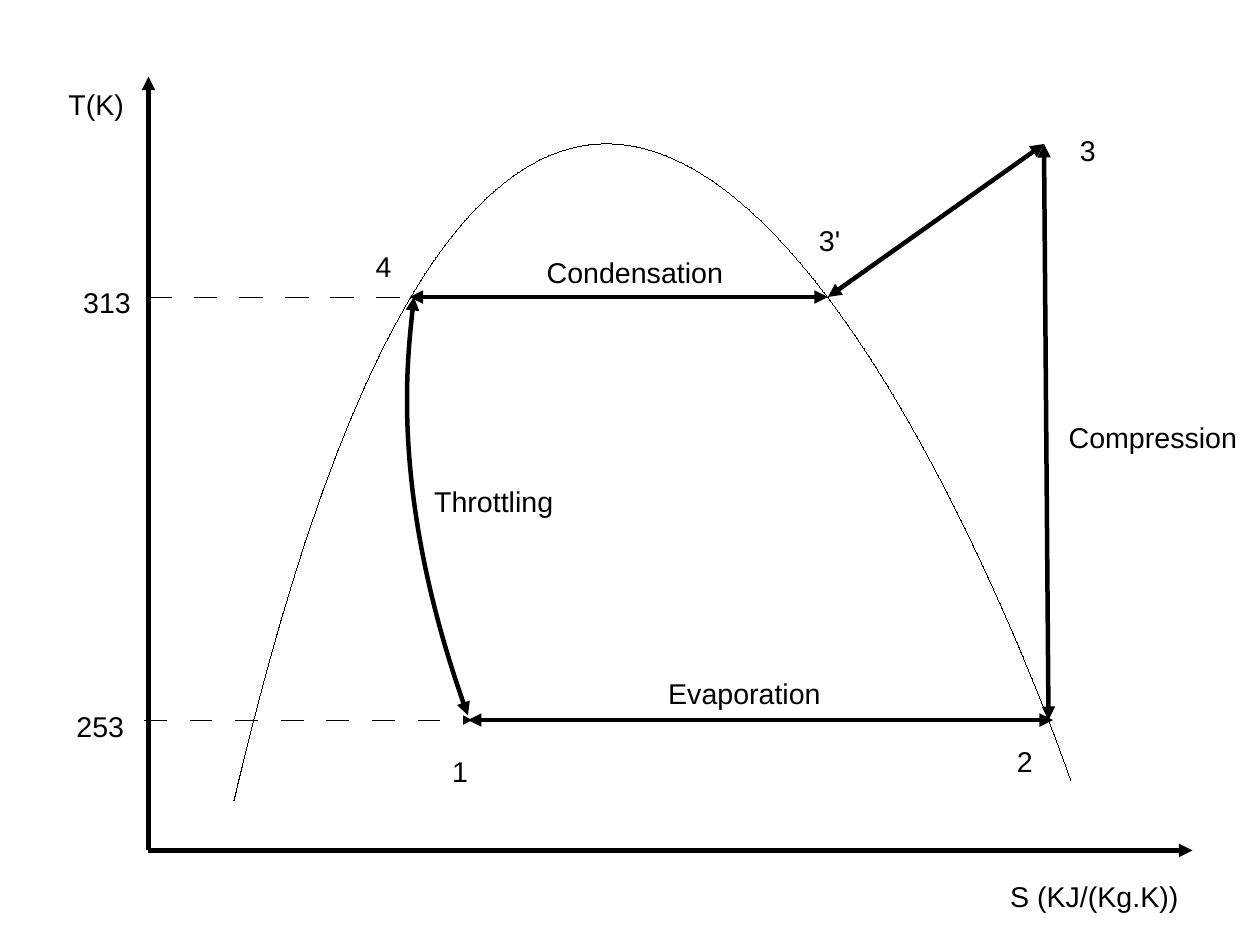
import dataclasses
import typing

import lxml.etree
import pptx
import pptx.dml.color
import pptx.enum.shapes
import pptx.enum.text
import pptx.oxml.ns
import pptx.util

Point = typing.Tuple[float, float]
BLACK = "000000"
BOLD = 2.83
THIN = 0
STEPS = 80


@dataclasses.dataclass
class Line:
    start: Point
    end: Point
    width: float = BOLD
    head: bool = True
    tail: bool = True
    dash: bool = False


@dataclasses.dataclass
class Curve:
    start: Point
    bend: Point
    end: Point
    width: float
    heads: bool


@dataclasses.dataclass
class Label:
    text: str
    left: float
    top: float
    width: float = 0.95


ZERO = (3.3, 18.9)
P1 = (10.4, 16)
P2 = (23.4, 16)
P3 = (23.2, 3.2)
SAT = (18.4, 6.6)
P4 = (9.1, 6.6)

AXES = [
    Line(ZERO, (26.5, 18.9), head=False),
    Line(ZERO, (3.3, 1.7), head=False),
]
CURVES = [
    Curve((5.2, 17.8), (12.8, -14.79), (23.8, 17.35), THIN, False),
    Curve((10.4, 15.9), (8.6, 11), (9.2, 6.6), BOLD, True),
]
CYCLE = [
    Line((3.2, 16), (10.5, 16), THIN, head=False, dash=True),
    Line(P1, P2),
    Line((3.3, 6.6), P4, THIN, head=False, tail=False, dash=True),
    Line(SAT, P4),
    Line((23.3, 16), P3),
    Line(P3, SAT),
]
LABELS = [
    Label("313", 1.6, 6.2, 1.65),
    Label("253", 1.45, 15.63, 1.65),
    Label("T(K)", 1.27, 1.8, 1.85),
    Label("S (KJ/(Kg.K))", 22.2, 19.4, 4.3),
    Label("1", 9.8, 16.63),
    Label("2", 22.35, 16.4),
    Label("3", 23.75, 2.83),
    Label("3'", 17.95, 4.83, 1.1),
    Label("4", 8.1, 5.4),
    Label("Condensation", 11.9, 5.55, 4.5),
    Label("Evaporation", 14.6, 14.9, 3.95),
    Label("Compression", 23.5, 9.2, 4.3),
    Label("Throttling", 9.4, 10.63, 3.25),
]


def color(code: str) -> pptx.dml.color.RGBColor:
    return pptx.dml.color.RGBColor.from_string(code)


def add_node(root: typing.Any, tag: str, **values: str) -> typing.Any:
    return lxml.etree.SubElement(root, pptx.oxml.ns.qn(tag), **values)


def style(shape: typing.Any, width: float, head: bool, tail: bool, dash: bool = False) -> None:
    shape.line.color.rgb = color(BLACK)
    node = shape.line._get_or_add_ln()
    node.set("w", str(pptx.util.Pt(width)))
    if dash:
        add_node(add_node(node, "a:custDash"), "a:ds", d="1880000", sp="1880000")
    for tag, shown in (("a:headEnd", head), ("a:tailEnd", tail)):
        if shown:
            add_node(node, tag, type="triangle")


def draw_line(slide: typing.Any, line: Line) -> None:
    ends = [pptx.util.Cm(value) for value in line.start + line.end]
    shape = slide.shapes.add_connector(pptx.enum.shapes.MSO_CONNECTOR.STRAIGHT, *ends)
    style(shape, line.width, line.head, line.tail, line.dash)
    add_node(shape._element.spPr, "a:effectLst")


def trace(curve: Curve, step: int) -> Point:
    part = step / STEPS
    rest = 1 - part
    x, y = (
        pptx.util.Cm(rest**3 * a + 3 * rest**2 * part * b + (3 * rest * part**2 + part**3) * c)
        for a, b, c in zip(curve.start, curve.bend, curve.end)
    )
    return x, y


def bend_path(shape: typing.Any, curve: Curve) -> None:
    lines = list(shape._element.iter(pptx.oxml.ns.qn("a:lnTo")))
    root = lines[0].getparent()
    for line in lines:
        root.remove(line)
    cubic = add_node(root, "a:cubicBezTo")
    for x, y in (curve.bend, curve.end, curve.end):
        across = pptx.util.Cm(x) - shape.left
        down = pptx.util.Cm(y) - shape.top
        add_node(cubic, "a:pt", x=str(across), y=str(down))


def draw_curve(slide: typing.Any, curve: Curve) -> None:
    points = [trace(curve, step) for step in range(STEPS + 1)]
    form = slide.shapes.build_freeform(*points[0])
    form.add_line_segments(points[1:], close=False)
    shape = form.convert_to_shape()
    bend_path(shape, curve)
    shape.fill.background()
    shape.shadow.inherit = False
    style(shape, curve.width, curve.heads, curve.heads)


def draw_label(slide: typing.Any, label: Label) -> None:
    area = [pptx.util.Cm(value) for value in (label.left, label.top, label.width, 0.97)]
    frame = slide.shapes.add_textbox(*area).text_frame
    frame.text = label.text
    frame.word_wrap = False
    frame.auto_size = pptx.enum.text.MSO_AUTO_SIZE.SHAPE_TO_FIT_TEXT
    font = frame.paragraphs[0].runs[0].font
    font.name = "Arial"
    font.size = pptx.util.Pt(18)
    font.color.rgb = color(BLACK)


def main() -> None:
    deck = pptx.Presentation()
    deck.slide_width = pptx.util.Cm(28)
    deck.slide_height = pptx.util.Cm(21)
    slide = deck.slides.add_slide(deck.slide_layouts[6])
    for axis in AXES:
        draw_line(slide, axis)
    for curve in CURVES:
        draw_curve(slide, curve)
    for line in CYCLE:
        draw_line(slide, line)
    for label in LABELS:
        draw_label(slide, label)
    deck.save("out.pptx")


if __name__ == "__main__":
    main()
